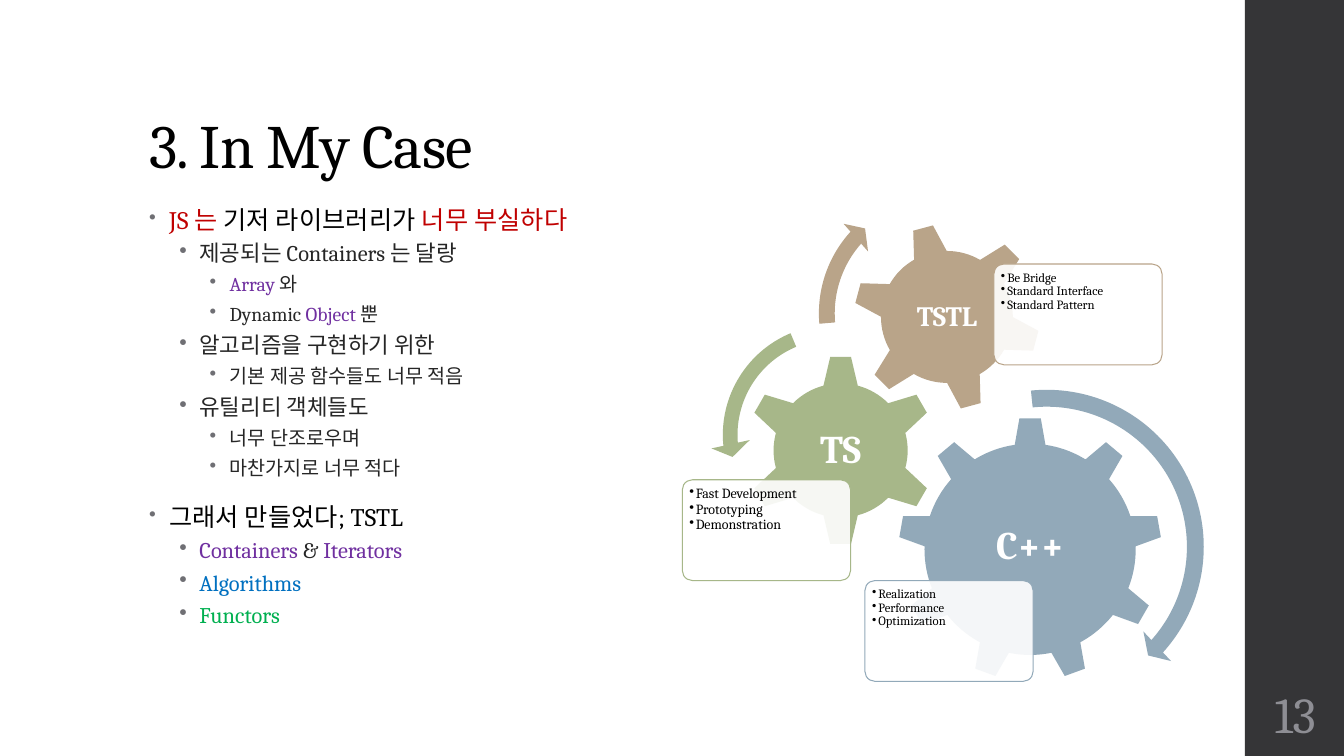
"""Build the "In My Case" slide: an outline on the left, three gears on the right."""
from pptx import Presentation
from pptx.dml.color import RGBColor as RGB
from pptx.enum.shapes import MSO_SHAPE as SHAPE
from pptx.enum.text import MSO_ANCHOR as ANCHOR, PP_ALIGN as ALIGN
from pptx.oxml import parse_xml
from pptx.oxml.ns import nsdecls, qn
from pptx.util import Pt

HUES = {
    "white": "FFFFFF", "black": "000000", "ink": "262626", "dark": "353537",
    "gray": "6F6F74", "pale": "8E8E94", "red": "C00000", "plum": "7030A0",
    "sky": "0070C0", "leaf": "00B050",
    "blue": "92A9B9", "green": "A7B789", "tan": "B9A489",
}


def draw(kind, box, hue, adjs=()):
    """Add a flat filled shape."""
    shape = slide.shapes.add_shape(kind, *map(Pt, box))
    shape.shadow.inherit = False
    shape.fill.solid()
    shape.fill.fore_color.rgb = RGB.from_string(HUES[hue])
    shape.line.fill.background()
    for i, adj in enumerate(adjs):
        shape.adjustments[i] = adj
    return shape


def write(para, text, size, hue, bold=False, track=0):
    """Add one run to a paragraph."""
    run = para.add_run()
    run.text = text
    run.font.name = "Cambria"
    run.font.size = Pt(size)
    run.font.bold = bold
    run.font.color.rgb = RGB.from_string(HUES[hue])
    run.font._element.set("spc", str(track))


deck = Presentation()
deck.slide_width, deck.slide_height = Pt(960), Pt(540)
slide = deck.slides.add_slide(deck.slide_layouts[6])

draw(SHAPE.RECTANGLE, (889.2, 0, 72, 540), "dark").width = Pt(70.8)

title = slide.shapes.add_textbox(Pt(99.4), Pt(28.8), Pt(763.2), Pt(104.4)).text_frame
title.word_wrap = True
title.vertical_anchor = ANCHOR.BOTTOM
title.paragraphs[0].line_spacing = 0.9
write(title.paragraphs[0], "3. In My Case", 44, "black", track=-50)

outline = [
    (0, [("JS 는 ", "red"), ("기저 라이브러리가 ", "black"), ("너무 부실하다", "red")]),
    (1, [("제공되는 Containers 는 달랑", "ink")]),
    (2, [("Array ", "plum"), ("와", "ink")]),
    (2, [("Dynamic ", "ink"), ("Object ", "plum"), ("뿐", "ink")]),
    (1, [("알고리즘을 구현하기 위한", "ink")]),
    (2, [("기본 제공 함수들도 너무 적음", "ink")]),
    (1, [("유틸리티 객체들도", "ink")]),
    (2, [("너무 단조로우며", "ink")]),
    (2, [("마찬가지로 너무 적다", "ink")]),
    (0, [("그래서 만들었다; TSTL", "black")]),
    (1, [("Containers", "plum"), (" & ", "ink"), ("Iterators", "plum")]),
    (1, [("Algorithms", "sky")]),
    (1, [("Functors", "leaf")]),
]
body = slide.shapes.add_textbox(Pt(99.4), Pt(144), Pt(352.8), Pt(342.7)).text_frame
body.word_wrap = True
for i, (level, runs) in enumerate(outline):
    para = body.add_paragraph() if i else body.paragraphs[0]
    top = level == 0
    para.level = level
    para.line_spacing = 0.95 if top else 0.9
    para.space_before = Pt(14 if top else 3)
    para.space_after = Pt(2 if top else 3)
    props = para._p.get_or_add_pPr()
    props.set("marL", str(Pt(14.4 + 21.6 * level)))
    props.set("indent", str(Pt(-14.4)))
    props.append(parse_xml(f'<a:buClr {nsdecls("a")}><a:srgbClr val="{HUES["gray"]}"/></a:buClr>'))
    props.append(parse_xml(f'<a:buSzPct {nsdecls("a")} val="{80000 if top else 100000}"/>'))
    props.append(parse_xml(f'<a:buChar {nsdecls("a")} char="•"/>'))
    for text, hue in runs:
        write(para, text, 18 - 2 * level, hue, track=10 if top else 0)

page = slide.shapes.add_textbox(Pt(889.2), Pt(486), Pt(72), Pt(46.8)).text_frame
page.margin_left = page.margin_right = page.margin_top = page.margin_bottom = Pt(3.6)
page.word_wrap = True
page.vertical_anchor = ANCHOR.MIDDLE
page.paragraphs[0].alignment = ALIGN.CENTER
write(page.paragraphs[0], "13", 36, "pale")

gears = [
    ("C++", 28, SHAPE.GEAR_9, "blue", (641.5, 298.1), 188.6, 0, 2,
     (617.8, 414.7), 9, ["Realization", "Performance", "Optimization"]),
    ("TS", 28, SHAPE.GEAR_6, "green", (532.1, 253.4), 136.8, 0, 0,
     (487.4, 342.7), 10, ["Fast Development", "Prototyping", "Demonstration"]),
    ("TSTL", 20, SHAPE.GEAR_6, "tan", (609.1, 159.1), 134.6, 345, 0,
     (709.9, 188.6), 9, ["Be Bridge", "Standard Interface", "Standard Pattern"]),
]
for name, size, kind, hue, (x, y), side, turn, lift, spot, small, items in gears:
    draw(kind, (x, y, side, side), hue).rotation = turn
    inset, width = side * 0.22, side * 0.56
    label = slide.shapes.add_textbox(
        Pt(x + inset), Pt(y + inset - lift), Pt(width), Pt(width)).text_frame
    label.margin_left = label.margin_right = label.margin_top = label.margin_bottom = Pt(3)
    label.word_wrap = True
    label.vertical_anchor = ANCHOR.MIDDLE
    label.paragraphs[0].alignment = ALIGN.CENTER
    label.paragraphs[0].line_spacing = 0.9
    write(label.paragraphs[0], name, size, "white", bold=True)

    card = draw(SHAPE.ROUNDED_RECTANGLE, (*spot, 120.2, 72), "white", [0.1])
    tint = card._element.spPr.find(qn("a:solidFill"))[0]
    tint.append(parse_xml(f'<a:alpha {nsdecls("a")} val="90000"/>'))
    card.line.color.rgb = RGB.from_string(HUES[hue])
    card.line.width = Pt(0.75)
    note = card.text_frame
    note.margin_left = note.margin_right = note.margin_top = note.margin_bottom = Pt(3)
    note.word_wrap = True
    note.vertical_anchor = ANCHOR.TOP
    for i, item in enumerate(items):
        para = note.add_paragraph() if i else note.paragraphs[0]
        para.alignment = ALIGN.LEFT
        para.level = 1
        para.line_spacing = 0.9
        props = para._p.get_or_add_pPr()
        props.set("marL", str(Pt(4.5)))
        props.set("indent", str(Pt(-4.5)))
        props.append(parse_xml(f'<a:buChar {nsdecls("a")} char="•"/>'))
        write(para, item, small, "black")

arrows = [
    (SHAPE.CIRCULAR_ARROW, "blue", 627.1, 270, 241.2, (0.05, 2.99, 25.2, 158.53, 0.06)),
    (SHAPE.LEFT_CIRCULAR_ARROW, "green", 507.6, 223.2, 175, (0.06, 4.3, 104.89, 148.38, 0.08)),
    (SHAPE.CIRCULAR_ARROW, "tan", 577.4, 129.6, 188.6, (0.06, 3.94, 133.14, 105.08, 0.07)),
]
for kind, hue, x, y, side, adjs in arrows:
    draw(kind, (x, y, side, side), hue, adjs)

deck.save("out.pptx")
